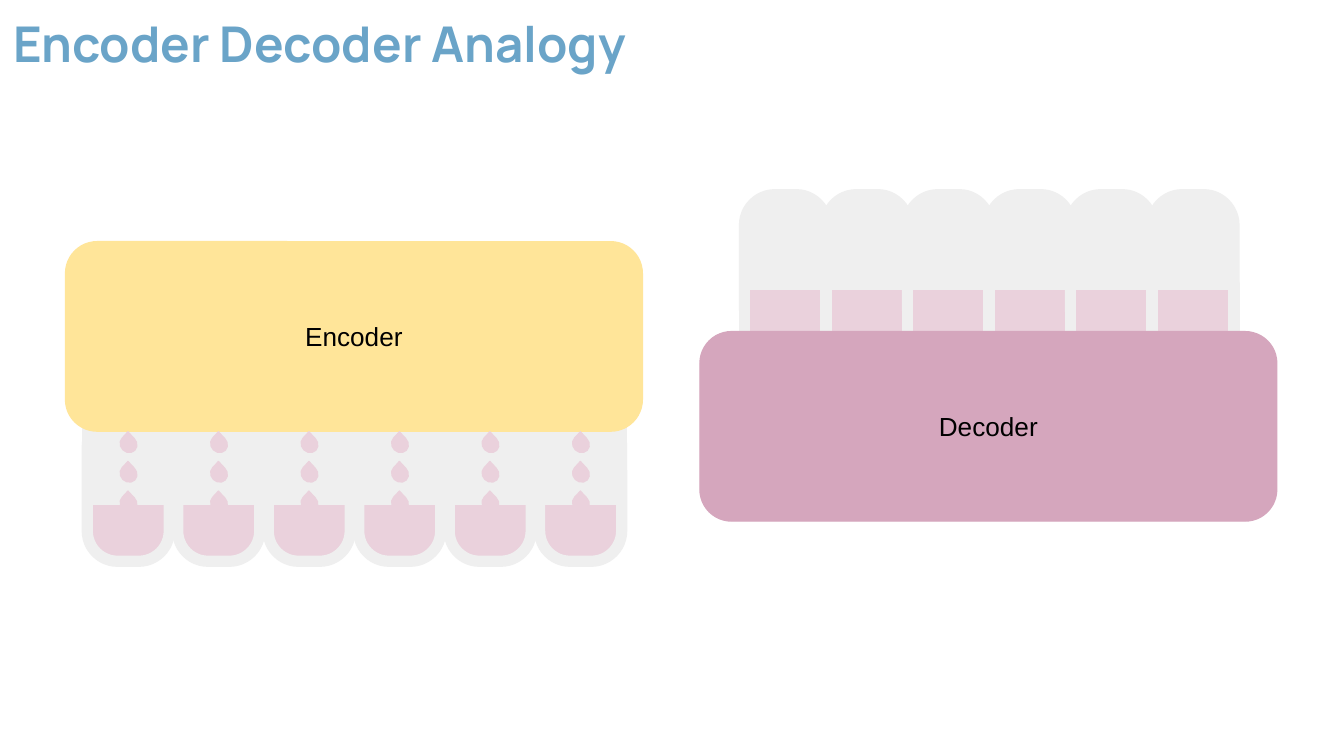
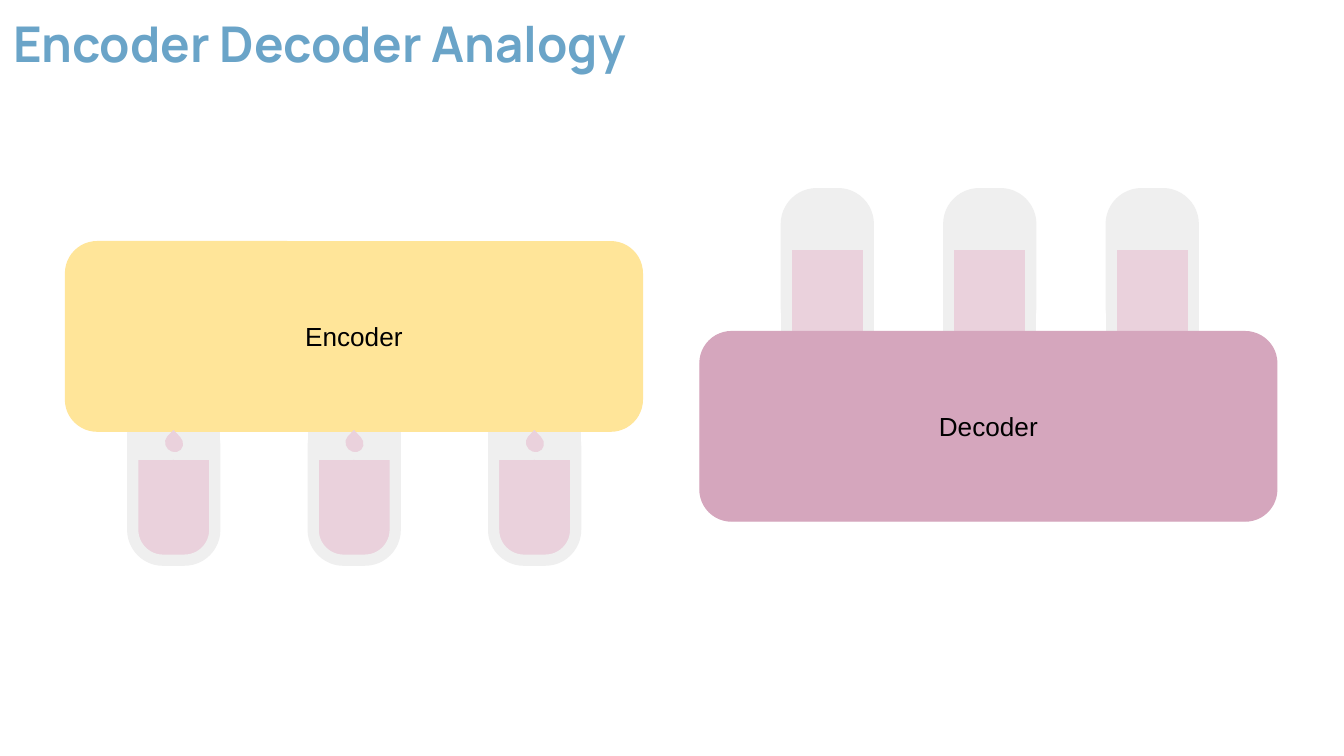
import pptx
import pptx.util
import pptx.dml.color
import pptx.enum.shapes
import pptx.enum.text

Cm, Pt = pptx.util.Cm, pptx.util.Pt
RGB = pptx.dml.color.RGBColor.from_string
KIND = pptx.enum.shapes.MSO_SHAPE
TEXT = pptx.enum.text

HUES = {
    "title": "6AA4C8",
    "glass": "EFEFEF",
    "juice": "EAD1DC",
    "encoder": "FFE599",
    "decoder": "D5A6BD",
    "ink": "000000",
}
TUBE_W, TUBE_H = 1.55, 2.74
DROP_IN, DROP_DOWN, DROP_GAP = 0.63, 0.36, 0.56

# Per slide: tube count, then left, pitch, top and inner block height
# of the tubes below the encoder and above the decoder.
SCENES = [
    {"count": 6, "below": (1.65, 1.71, 7.87, 1.57), "above": (14.07, 1.54, 3.68, 1.04)},
    {"count": 3, "below": (2.51, 3.41, 7.85, 0.74), "above": (14.86, 3.07, 3.66, 1.78)},
]
BOXES = [("Decoder", 13.23, 6.27), ("Encoder", 1.24, 4.57)]


def draw(slide, kind, box, fill, line, width, adj, turn=0):
    """Add a filled, outlined shape; box is left, top, width, height in cm."""
    shape = slide.shapes.add_shape(kind, *[Cm(n) for n in box])
    shape.shadow.inherit = False
    shape.adjustments[0] = adj
    shape.rotation = turn
    shape.fill.solid()
    shape.fill.fore_color.rgb = RGB(HUES[fill])
    shape.line.color.rgb = RGB(HUES[line])
    shape.line.width = Pt(width)
    return shape


def write(shape, text, font, size, hue, bold=False):
    frame = shape.text_frame
    frame.word_wrap = True
    frame.margin_left = frame.margin_right = Cm(0.25)
    frame.margin_top = frame.margin_bottom = Cm(0.25)
    run = frame.paragraphs[0].add_run()
    run.text = text
    run.font.name = font
    run.font.size = Pt(size)
    run.font.bold = bold
    run.font.color.rgb = RGB(HUES[hue])
    return frame


deck = pptx.Presentation()
deck.slide_width, deck.slide_height = Cm(25.4), Cm(14.29)

for scene in SCENES:
    slide = deck.slides.add_slide(deck.slide_layouts[6])
    title = slide.shapes.add_textbox(0, 0, Cm(21.36), Cm(1.9))
    write(title, "Encoder Decoder Analogy", "Manrope", 26.4, "title", True)

    # Tubes being filled: juice with an empty glass part on top
    left, pitch, top, part = scene["below"]
    spots = [left + i * pitch for i in range(scene["count"])]
    for x in spots:
        for high, fill, adj in [(TUBE_H, "juice", 0.37), (part, "glass", 0)]:
            draw(slide, KIND.ROUNDED_RECTANGLE, (x, top, TUBE_W, high),
                 fill, "glass", 6, adj)

    # Tubes being poured out: upside down, juice at the mouth
    left, pitch, crown, part = scene["above"]
    for i in range(scene["count"]):
        for high, fill, adj in [(TUBE_H, "glass", 0.37), (part, "juice", 0)]:
            box = (left + i * pitch, crown + TUBE_H - high, TUBE_W, high)
            draw(slide, KIND.ROUNDED_RECTANGLE, box, fill, "glass", 6, adj, 180)

    for name, x, y in BOXES:
        hue = name.lower()
        block = draw(slide, KIND.ROUNDED_RECTANGLE, (x, y, 10.9, 3.58),
                     hue, hue, 0.75, 0.167)
        frame = write(block, name, "Arial", 14, "ink")
        frame.vertical_anchor = TEXT.MSO_ANCHOR.MIDDLE
        frame.paragraphs[0].alignment = TEXT.PP_ALIGN.CENTER

    for x in spots:
        for i in range(3):
            box = (x + DROP_IN, top + DROP_DOWN + i * DROP_GAP, 0.3, 0.33)
            draw(slide, KIND.TEAR, box, "juice", "juice", 0.75, 1.042, 315)

deck.save("out.pptx")
